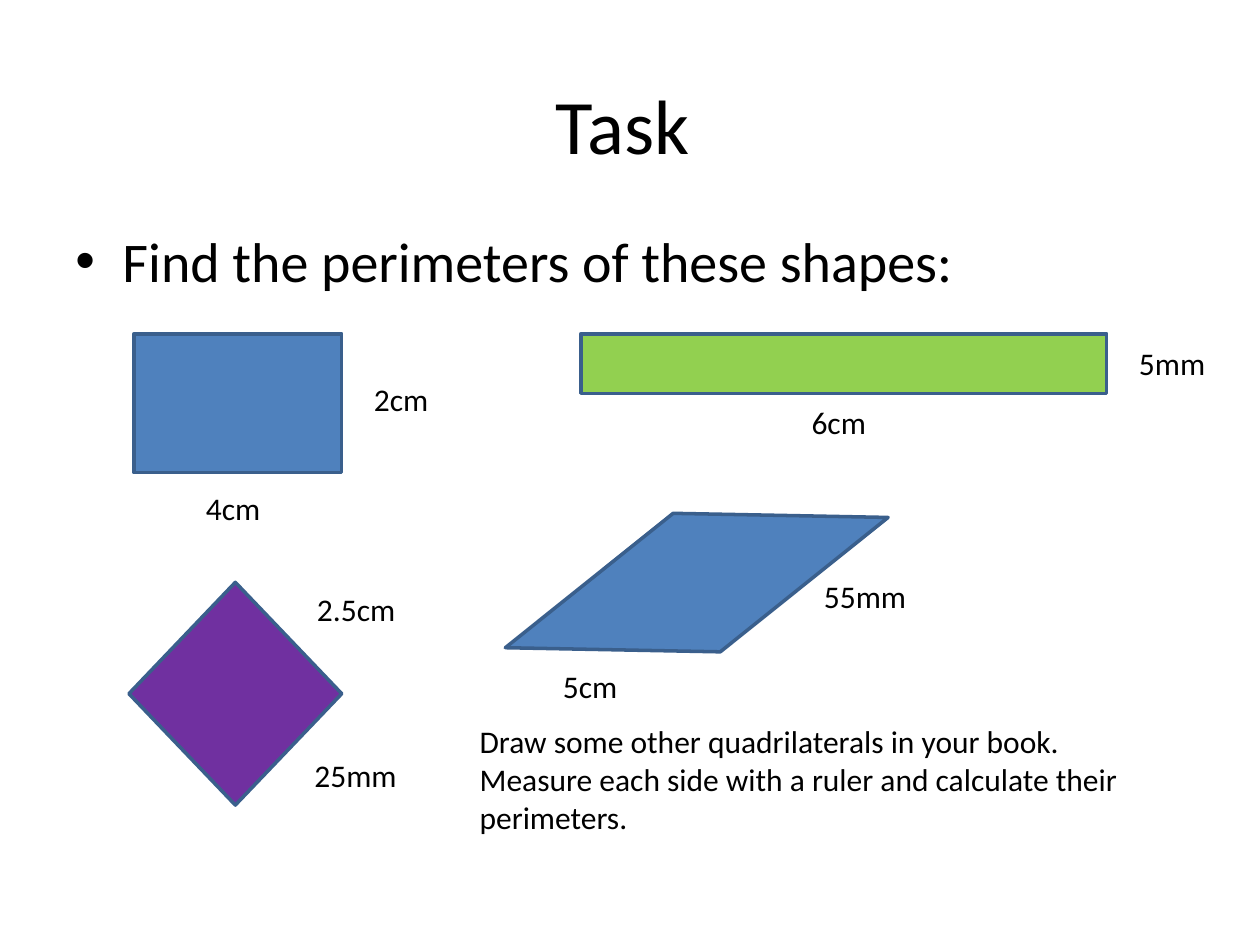
from lxml import etree
from pptx import Presentation
from pptx.dml.color import RGBColor
from pptx.enum import shapes, text
from pptx.oxml.ns import qn
from pptx.util import Cm, Pt

FONT = "Calibri"
BLACK, OUTLINE = "000000", "3A5F8C"
BLUE, GREEN, PURPLE = "4F81BD", "92D050", "7030A0"
RECTANGLE = shapes.MSO_SHAPE.RECTANGLE
DIAMOND = shapes.MSO_SHAPE.DIAMOND

# Places are left, top, width, height in centimetres.
TITLE = ("Task ", (1.3, 0.91, 22.86, 3.18))
INSTRUCTION = ("Find the perimeters of these shapes:", (1.27, 4.45, 22.86, 12.57))

# Preset, fill, rotation in degrees, place
QUADRILATERALS = [
    (RECTANGLE, BLUE, 0, (2.7, 6.73, 4.19, 2.8)),
    (RECTANGLE, GREEN, 0, (11.71, 6.73, 10.6, 1.2)),
    (DIAMOND, PURPLE, 0, (2.6, 11.74, 4.29, 4.49)),
    (DIAMOND, BLUE, 71.2, (12.57, 7.67, 2.95, 8.15)),
]

NOTES = [
    ("2cm", (7.29, 7.53, 1.8, 1.02)),
    ("4cm", (3.9, 9.74, 2.2, 1.02)),
    ("5mm", (22.71, 6.81, 2.2, 1.02)),
    ("6cm", (16.11, 8, 1.8, 1.02)),
    ("2.5cm", (6.14, 11.76, 2.55, 1.02)),
    ("25mm", (6.09, 15.11, 2.8, 1.02)),
    ("55mm", (16.36, 11.5, 2.4, 1.02)),
    ("5cm", (11.1, 13.33, 2.4, 1.02)),
    ("Draw some other quadrilaterals in your book. Measure each side "
     "with a ruler and calculate their perimeters.", (9.42, 14.43, 13.84, 2.57)),
]


def color(value):
    return RGBColor.from_string(value)


def lengths(place):
    return [Cm(value) for value in place]


def add_text(slide, wording, place, size):
    box = slide.shapes.add_textbox(*lengths(place))
    box.text_frame.word_wrap = True
    box.text_frame.text = wording
    para = box.text_frame.paragraphs[0]
    for span in para.runs:
        span.font.name = FONT
        span.font.size = Pt(size)
        span.font.color.rgb = color(BLACK)
    return box, para


def add_bullet(para, indent):
    """Give the paragraph a round bullet with a hanging indent."""
    properties = para._p.get_or_add_pPr()
    properties.set("marL", str(indent))
    properties.set("indent", str(-indent))
    etree.SubElement(properties, qn("a:buFont")).set("typeface", "Arial")
    etree.SubElement(properties, qn("a:buChar")).set("char", "•")


def add_quadrilateral(slide, preset, fill, rotation, place):
    shape = slide.shapes.add_shape(preset, *lengths(place))
    shape.shadow.inherit = False
    shape.rotation = rotation
    shape.fill.solid()
    shape.fill.fore_color.rgb = color(fill)
    shape.line.color.rgb = color(OUTLINE)
    shape.line.width = Pt(2)


def main():
    deck = Presentation()
    deck.slide_width, deck.slide_height = Cm(25.4), Cm(19.05)
    slide = deck.slides.add_slide(deck.slide_layouts[6])

    box, para = add_text(slide, *TITLE, size=44)
    box.text_frame.vertical_anchor = text.MSO_ANCHOR.MIDDLE
    para.alignment = text.PP_ALIGN.CENTER

    box, para = add_text(slide, *INSTRUCTION, size=32)
    add_bullet(para, Cm(0.95))

    for quadrilateral in QUADRILATERALS:
        add_quadrilateral(slide, *quadrilateral)
    for wording, place in NOTES:
        box, para = add_text(slide, wording, place, size=18)
        box.text_frame.auto_size = text.MSO_AUTO_SIZE.SHAPE_TO_FIT_TEXT

    deck.save("out.pptx")


if __name__ == "__main__":
    main()
